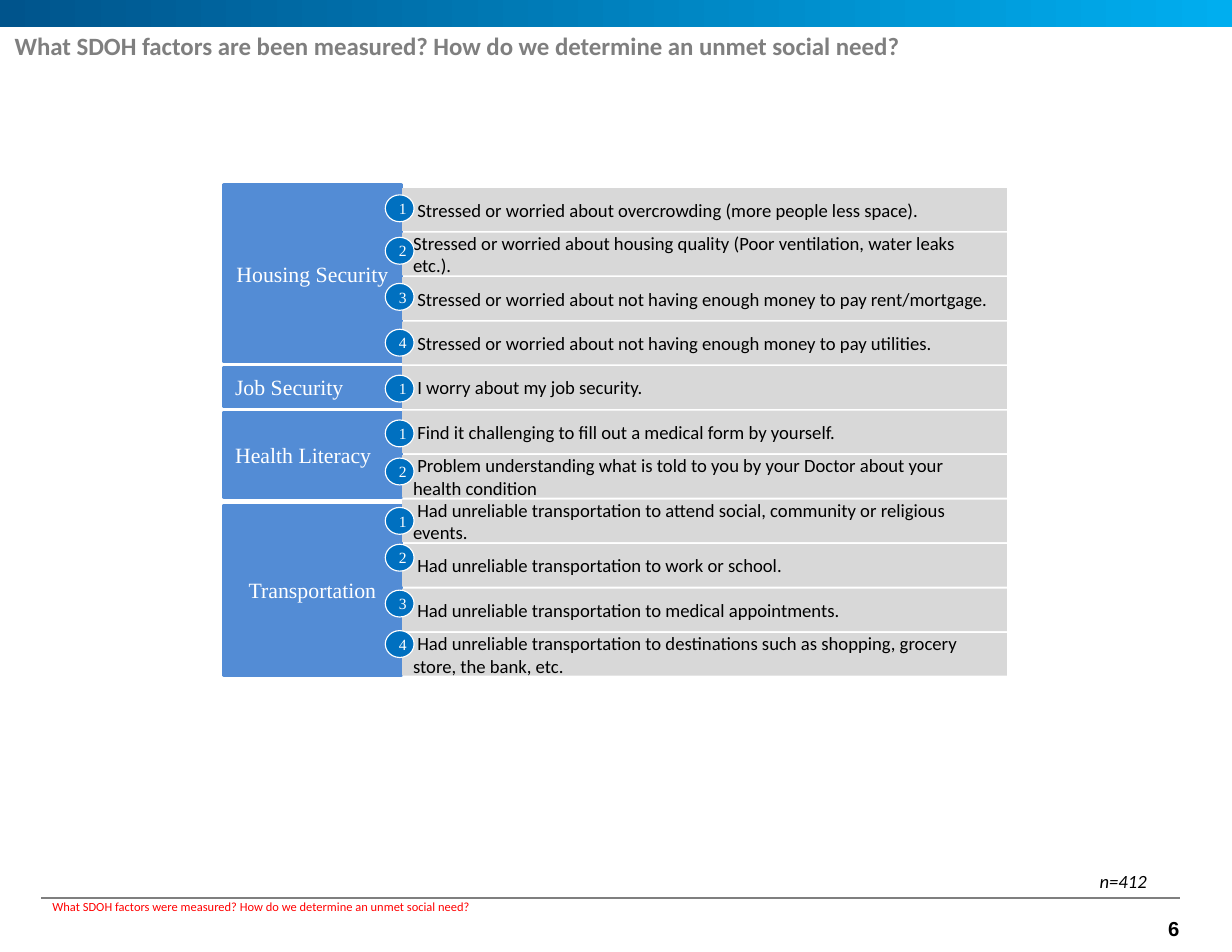
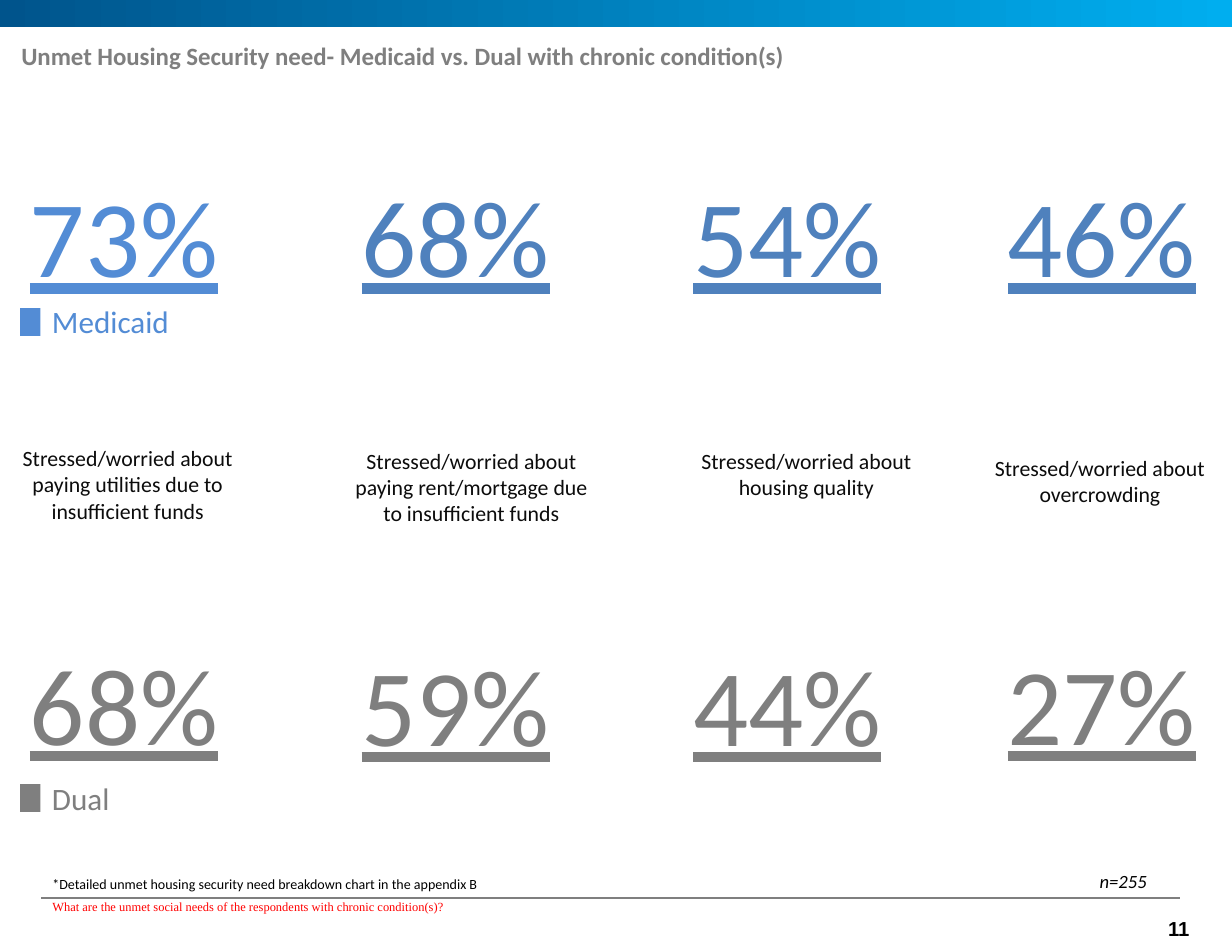
import pptx
import pptx.util
import pptx.dml.color
import pptx.enum.shapes
import pptx.enum.text
import pptx.oxml.ns
import lxml.etree

Pt = pptx.util.Pt
RGBColor = pptx.dml.color.RGBColor
SHAPE = pptx.enum.shapes.MSO_SHAPE
ALIGN = pptx.enum.text.PP_ALIGN
MIDDLE = pptx.enum.text.MSO_ANCHOR.MIDDLE

NAVY = RGBColor(0x00, 0x54, 0x8C)
CYAN = RGBColor(0x00, 0xAE, 0xEF)
BLUE = RGBColor(0x53, 0x8C, 0xD5)
STEEL = RGBColor(0x4F, 0x81, 0xBD)
DEEP = RGBColor(0x00, 0x70, 0xC0)
GRAY = RGBColor(0x7F, 0x7F, 0x7F)
PALE = RGBColor(0xD8, 0xD8, 0xD8)
RED = RGBColor(0xFF, 0x00, 0x00)
WHITE = RGBColor(0xFF, 0xFF, 0xFF)
BLACK = RGBColor(0x00, 0x00, 0x00)
INK = RGBColor(0x0C, 0x0C, 0x0C)
SANS = "Calibri"
SERIF = "Times New Roman"

FACTORS = [
    ("Housing Security", 118.8, 113.8, ALIGN.CENTER, [
        ("Stressed or worried about overcrowding (more people less space).", 125.3, 2.7),
        ("Stressed or worried about housing quality (Poor ventilation, water leaks etc.).", 152.6, 0),
        ("Stressed or worried about not having enough money to pay rent/mortgage.", 182.2, 2.7),
        ("Stressed or worried about not having enough money to pay utilities.", 211.7, 2.7),
    ]),
    ("Job Security", 236.2, 25.2, ALIGN.LEFT, [
        ("I worry about my job security.", 241.2, 2.7),
    ]),
    ("Health Literacy", 265, 54.7, ALIGN.LEFT, [
        ("Find it challenging to fill out a medical form by yourself.", 270, 2.7),
        ("Problem understanding what is told to you by your Doctor about your health condition", 294.5, 2.7),
    ]),
    ("Transportation", 324.7, 109.4, ALIGN.CENTER, [
        ("Had unreliable transportation to attend social, community or religious events.", 326.2, 2.7),
        ("Had unreliable transportation to work or school.", 349.9, 2.7),
        ("Had unreliable transportation to medical appointments.", 379.4, 2.7),
        ("Had unreliable transportation to destinations such as shopping, grocery store, the bank, etc.",
         405.4, 2.7),
    ]),
]
NEEDS = [
    (12.2, "73%", BLUE, "68%", 405.4, 0, 282.5,
     "Stressed/worried about paying utilities due to insufficient funds"),
    (225.4, "68%", STEEL, "59%", 406.1, 221, 284.4,
     "Stressed/worried about paying rent/mortgage due to insufficient funds"),
    (438.5, "54%", STEEL, "44%", 406.1, 436.3, 284.4,
     "Stressed/worried about housing quality"),
    (640.8, "46%", STEEL, "27%", 405.4, 625, 288.7,
     "Stressed/worried about overcrowding"),
]
GROUPS = [("Medicaid", BLUE, 198, 190.8), ("Dual", GRAY, 504, 497.5)]


def write(shape, text, size, color, font=SANS, align=ALIGN.LEFT, bold=False,
          slant=False, under=False):
    frame = shape.text_frame
    frame.word_wrap = True
    frame.text = text
    par = frame.paragraphs[0]
    par.alignment = align
    face = par.runs[0].font
    face.name, face.size, face.color.rgb = font, Pt(size), color
    face.bold, face.italic, face.underline = bold, slant, under
    return par


def label(slide, box, text, size, color, **style):
    shape = slide.shapes.add_textbox(*map(Pt, box))
    write(shape, text, size, color, **style)
    return shape


def block(slide, box, fill, line=None, width=1, kind=SHAPE.RECTANGLE):
    shape = slide.shapes.add_shape(kind, *map(Pt, box))
    shape.shadow.inherit = False
    shape.fill.solid()
    shape.fill.fore_color.rgb = fill
    if line is None:
        shape.line.fill.background()
    else:
        shape.line.color.rgb = line
        shape.line.width = Pt(width)
    shape.text_frame.vertical_anchor = MIDDLE
    return shape


def start(deck, title, left, top, foot, font, count, page):
    slide = deck.slides.add_slide(deck.slide_layouts[6])
    band = block(slide, (0, 0, 792, 17.3), NAVY)
    band.fill.gradient()
    band.fill.gradient_angle = 0
    for stop, color, place in zip(band.fill.gradient_stops, (NAVY, CYAN), (0, 1)):
        stop.color.rgb = color
        stop.position = place
    rule = slide.shapes.add_connector(
        pptx.enum.shapes.MSO_CONNECTOR.STRAIGHT, Pt(26.6), Pt(577.4), Pt(758.9), Pt(577.4))
    rule.line.color.rgb = GRAY
    rule.line.width = Pt(1)
    lxml.etree.SubElement(rule.element.spPr, pptx.oxml.ns.qn("a:effectLst"))
    label(slide, (743.8, 585.4, 31, 23), page, 13, BLACK, font="Arial", bold=True)
    head = label(slide, (left, top, 759.6, 26.6), title, 16, GRAY, bold=True)
    frame = head.text_frame
    frame.margin_left = frame.margin_right = frame.margin_top = frame.margin_bottom = 0
    frame.paragraphs[0].line_spacing = 0.9
    label(slide, (26.6, 574.3, 731.5, 17.3), foot, 8, RED, font=font)
    label(slide, (699.8, 555.8, 83.5, 21.6), count, 12, BLACK, slant=True)
    return slide


def draw_factors(slide):
    for name, top, high, align, _ in FACTORS:
        box = block(slide, (144, top, 113.8, high), BLUE, BLUE, 2)
        write(box, name, 14, WHITE, SERIF, align)
    items = [item for group in FACTORS for item in group[4]]
    for row, (text, _, indent) in enumerate(items):
        bar = block(slide, (258.5, 121 + 28.6 * row, 388.8, 27.4), PALE)
        bar.text_frame.margin_right = Pt(10)
        par = write(bar, text, 12, BLACK)
        par._p.get_or_add_pPr().set("indent", str(Pt(indent)))
    for group in FACTORS:
        for rank, (_, top, _) in enumerate(group[4], 1):
            dot = block(slide, (247.7, top, 18.5, 17.3), DEEP, WHITE, 0.75,
                        SHAPE.FLOWCHART_CONNECTOR)
            write(dot, str(rank), 10, WHITE, SERIF, ALIGN.CENTER)


def draw_needs(slide):
    for left, first, color, second, low, side, top, text in NEEDS:
        label(slide, (left, 105.1, 142.6, 92.2), first, 70, color, under=True)
        label(slide, (left, low, 142.6, 92.2), second, 70, GRAY, under=True)
        label(slide, (side, top, 164.2, 58.6), text, 14, INK, align=ALIGN.CENTER)
    for name, color, top, high in GROUPS:
        block(slide, (13, top, 13, 18), color)
        label(slide, (26.3, high, 214.6, 31.7), name, 20, color)
    label(slide, (26.6, 559.4, 429, 18),
          "*Detailed unmet housing security need breakdown chart in the appendix B", 9, BLACK)


def main():
    deck = pptx.Presentation()
    deck.slide_width, deck.slide_height = Pt(792), Pt(612)
    draw_factors(start(
        deck, "What SDOH factors are been measured? How do we determine an unmet social need?",
        9.4, 21.6, "What SDOH factors were measured? How do we determine an unmet social need?",
        SANS, "n=412", "6"))
    draw_needs(start(
        deck, "Unmet Housing Security need- Medicaid vs. Dual with chronic condition(s)",
        13.7, 28.1, "What are the unmet social needs of the respondents with chronic condition(s)?",
        SERIF, "n=255", "11"))
    deck.save("out.pptx")


if __name__ == "__main__":
    main()
